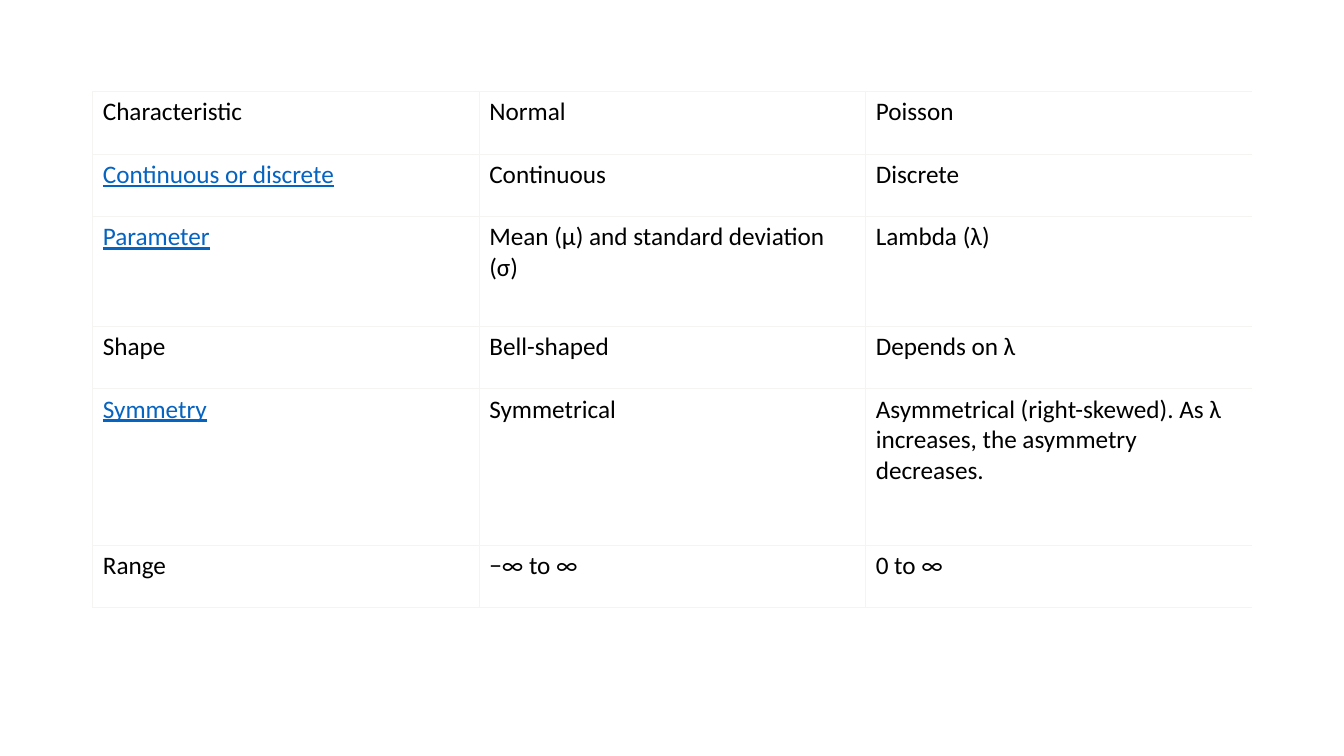
from lxml import etree
from pptx import Presentation
from pptx.dml.color import RGBColor
from pptx.enum.text import MSO_ANCHOR
from pptx.oxml.ns import qn
from pptx.util import Inches, Pt

TOP = MSO_ANCHOR.TOP
BLANK_LAYOUT = 6
WHITE, BLACK, LINK_BLUE, GRID = "FFFFFF", "000000", "0563C1", "F6F4F1"


def color(hex_code):
    return RGBColor.from_string(hex_code)


def write(frame, text, font="Calibri", size=18, ink=BLACK, underline=False):
    run = frame.paragraphs[0].add_run()
    run.text = text
    run.font.name = font
    run.font.size = Pt(size)
    run.font.color.rgb = color(ink)
    run.font.underline = underline


class ComparisonSlide:
    """Holds the table style and the current slide."""

    def __init__(self, deck, grid=GRID, fill=WHITE, line_width=0.75):
        self.slide = deck.slides.add_slide(deck.slide_layouts[BLANK_LAYOUT])
        self.grid, self.fill, self.line_width = grid, fill, line_width

    def border(self, cell, open_right):
        # Border lines come before the fill in the cell properties
        properties = cell._tc.get_or_add_tcPr()
        for position, side in enumerate(("lnL", "lnR", "lnT", "lnB")):
            line = etree.Element(qn(f"a:{side}"), w=str(Pt(self.line_width)))
            if side == "lnR" and open_right:
                etree.SubElement(line, qn("a:noFill"))
            else:
                solid = etree.SubElement(line, qn("a:solidFill"))
                etree.SubElement(solid, qn("a:srgbClr"), val=self.grid)
            properties.insert(position, line)

    def table(self, rows, heights, left, top, width, underlined):
        columns = len(rows[0])
        table = self.slide.shapes.add_table(
            len(rows), columns, Inches(left), Inches(top),
            Inches(width), Inches(sum(heights))).table
        table.first_row = table.horz_banding = False
        for row, height in zip(table.rows, heights):
            row.height = Inches(height)
        for r, texts in enumerate(rows):
            for c, text in enumerate(texts):
                cell = table.cell(r, c)
                cell.vertical_anchor = TOP
                cell.fill.solid()
                cell.fill.fore_color.rgb = color(self.fill)
                self.border(cell, open_right=c == columns - 1)
                marked = text in underlined
                write(cell.text_frame, text, underline=marked,
                      ink=LINK_BLUE if marked else BLACK)


deck = Presentation()
deck.slide_width, deck.slide_height = Inches(13.33), Inches(7.5)

# Normal and Poisson distributions side by side
characteristics = [
    ("Characteristic", "Normal", "Poisson"),
    ("Continuous or discrete", "Continuous", "Discrete"),
    ("Parameter", "Mean (µ) and standard deviation (σ)", "Lambda (λ)"),
    ("Shape", "Bell-shaped", "Depends on λ"),
    ("Symmetry", "Symmetrical",
     "Asymmetrical (right-skewed). As λ increases, the asymmetry decreases."),
    ("Range", "−∞ to ∞", "0 to ∞"),
]
ComparisonSlide(deck).table(
    characteristics, heights=[0.62, 0.62, 1.09, 0.62, 1.55, 0.62],
    left=0.92, top=0.91, width=11.5,
    underlined={"Continuous or discrete", "Parameter", "Symmetry"})

deck.save("out.pptx")
